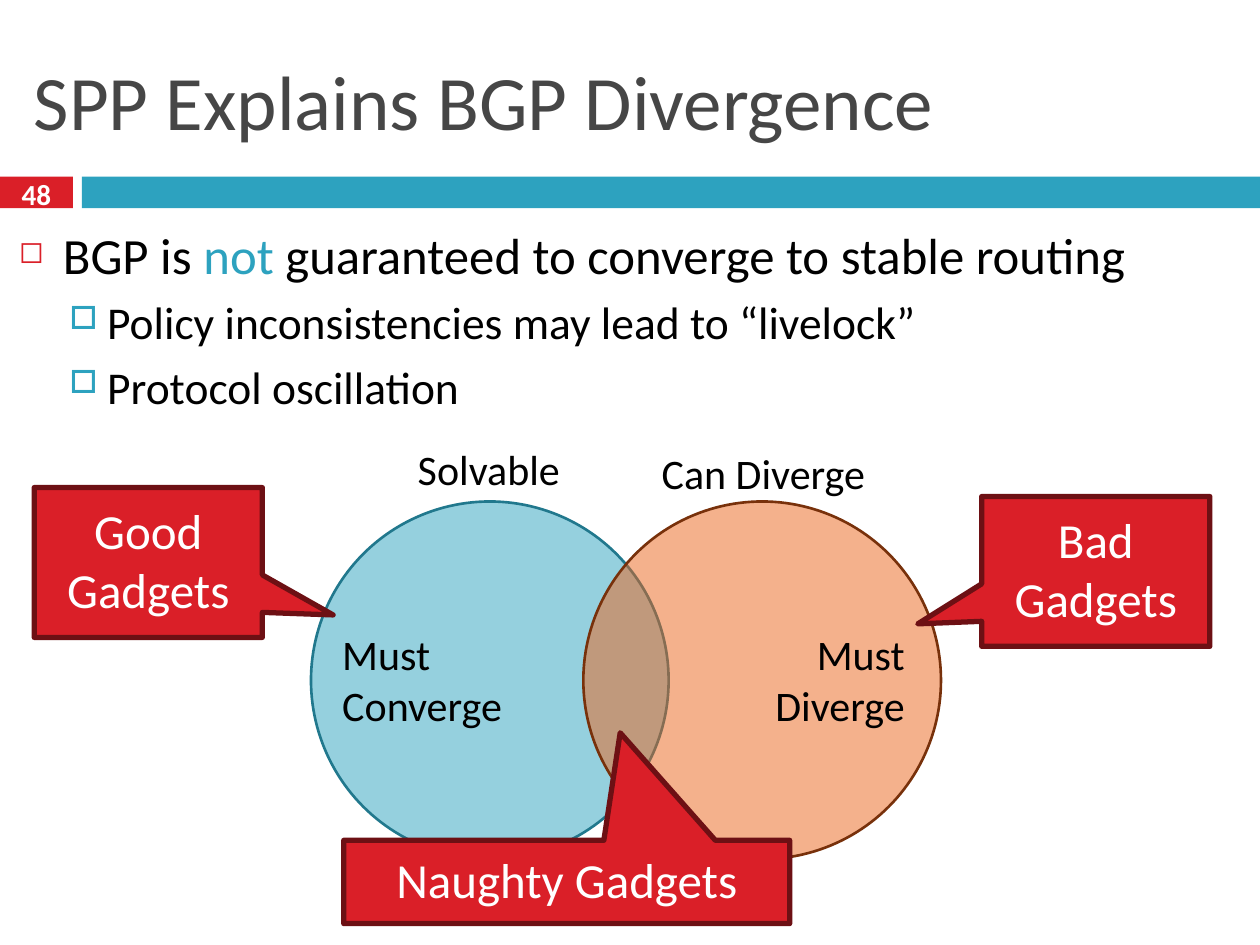
from lxml import etree
from pptx import Presentation
from pptx.dml.color import RGBColor
from pptx.enum.shapes import MSO_SHAPE
from pptx.enum.text import MSO_ANCHOR, PP_ALIGN
from pptx.oxml.ns import qn
from pptx.util import Cm, Pt

RECT, OVAL = MSO_SHAPE.RECTANGLE, MSO_SHAPE.OVAL
CALLOUT = MSO_SHAPE.RECTANGULAR_CALLOUT
LEFT, CENTER, RIGHT = PP_ALIGN.LEFT, PP_ALIGN.CENTER, PP_ALIGN.RIGHT
TOP, MIDDLE = MSO_ANCHOR.TOP, MSO_ANCHOR.MIDDLE

FONT = "Calibri"
COLORS = {
    "red": "DA1F28", "dark_red": "6D1014",
    "teal": "2DA2BF", "dark_teal": "21788D",
    "orange": "EB641B", "brown": "78310B",
    "title": "464646", "black": "000000", "white": "FFFFFF",
}


def rgb(name):
    return RGBColor.from_string(COLORS[name])


def write(frame, lines, size=24, color="black", bold=False, align=LEFT,
          anchor=TOP, wrap=True):
    """Fill a text frame; each line is a string or a list of (text, color) runs."""
    frame.word_wrap = wrap
    frame.vertical_anchor = anchor
    for index, line in enumerate(lines):
        paragraph = frame.add_paragraph() if index else frame.paragraphs[0]
        paragraph.alignment = align
        for text, run_color in [(line, color)] if isinstance(line, str) else line:
            run = paragraph.add_run()
            run.text = text
            run.font.name, run.font.size, run.font.bold = FONT, Pt(size), bold
            run.font.color.rgb = rgb(run_color)


def add_label(slide, box, lines, **text_format):
    label = slide.shapes.add_textbox(*map(Cm, box))
    write(label.text_frame, lines, **text_format)
    return label


def add_figure(slide, kind, box, fill, line=None, width=1.5, alpha=None):
    figure = slide.shapes.add_shape(kind, *map(Cm, box))
    figure.shadow.inherit = False
    figure.fill.solid()
    figure.fill.fore_color.rgb = rgb(fill)
    if alpha is not None:
        fill_color = figure.fill._xPr.find(".//" + qn("a:srgbClr"))
        etree.SubElement(fill_color, qn("a:alpha"), val=str(alpha * 1000))
    if line:
        figure.line.color.rgb = rgb(line)
        figure.line.width = Pt(width)
    else:
        figure.line.fill.background()
    return figure


def set_bullet(paragraph, char, color, percent, margin, hanging):
    properties = paragraph._p.get_or_add_pPr()
    properties.set("marL", str(Cm(margin)))
    properties.set("indent", str(-Cm(hanging)))
    bullet_color = etree.SubElement(properties, qn("a:buClr"))
    etree.SubElement(bullet_color, qn("a:srgbClr"), val=COLORS[color])
    etree.SubElement(properties, qn("a:buSzPct"), val=str(percent * 1000))
    etree.SubElement(properties, qn("a:buChar"), char=char)


def add_header(slide, left, top, width, title, number):
    band_top, band_height, number_width, gap = top + 3.56, 0.64, 1.47, 0.18
    bar_left = left + number_width + gap
    add_figure(slide, RECT, (left, band_top, number_width, band_height), "red")
    add_figure(slide, RECT, (bar_left, band_top, left + width - bar_left, band_height),
               "teal")
    add_label(slide, (left + 0.43, top + 0.64, width - 0.84, 2.74), [title],
              size=44, color="title", anchor=MIDDLE)
    add_label(slide, (left, band_top - 0.08, number_width, 0.84), [number],
              size=16.6, color="white", bold=True, align=CENTER, anchor=MIDDLE)


def add_bullets(slide, box, claim, details):
    body = add_label(slide, box, [claim, *details], size=26)
    first, *rest = body.text_frame.paragraphs
    for run in first.runs:
        run.font.size = Pt(29)
    first.space_before = Pt(7)
    set_bullet(first, "◻", "red", 60, 0.89, 0.89)
    for paragraph in rest:
        paragraph.level = 1
        paragraph.space_before = Pt(5.5)
        set_bullet(paragraph, "□", "teal", 70, 1.78, 0.76)


def add_venn(slide, left, top):
    diameter, offset, circle_top = 7.21, 5.49, top + 1.3
    for index, (fill, line) in enumerate([("teal", "dark_teal"), ("orange", "brown")]):
        add_figure(slide, OVAL, (left + index * offset, circle_top, diameter, diameter),
                   fill, line, alpha=50)
    labels = [
        (0.38, 3.74, 4.22, 2.31, ["Must", "Converge"], LEFT),
        (8.77, 3.74, 3.45, 2.31, ["Must", "Diverge"], RIGHT),
        (1.68, 0, 3.81, 1.27, ["Solvable"], CENTER),
        (6.48, 0.08, 5.28, 1.27, ["Can Diverge"], CENTER),
    ]
    for dx, dy, width, height, lines, align in labels:
        add_label(slide, (left + dx, top + dy, width, height), lines,
                  align=align, wrap=False)


def add_callout(slide, box, text, tip):
    """Tip is the pointer's offset from the centre, as a share of the box size."""
    callout = add_figure(slide, CALLOUT, box, "red", "dark_red", width=3)
    callout.adjustments[0], callout.adjustments[1] = tip
    frame = callout.text_frame
    frame.margin_top, frame.margin_bottom = Cm(0.13), Cm(0.25)
    write(frame, [text], size=28, color="white", align=CENTER, anchor=MIDDLE)


def main():
    deck = Presentation()
    deck.slide_width, deck.slide_height = Cm(25.4), Cm(19.05)
    slide = deck.slides.add_slide(deck.slide_layouts[6])

    add_header(slide, 0, 0, 25.4, "SPP Explains BGP Divergence", "48")
    add_bullets(
        slide, (0.13, 4.39, 24.97, 4.42),
        [("BGP is ", "black"), ("not", "teal"),
         (" guaranteed to converge to stable routing", "black")],
        ["Policy inconsistencies may lead to “livelock”", "Protocol oscillation"])
    add_venn(slide, 6.27, 8.81)
    add_callout(slide, (0.69, 9.83, 4.6, 3.02), "Good Gadgets", (0.81, 0.35))
    add_callout(slide, (19.79, 10.01, 4.6, 3.02), "Bad Gadgets", (-0.78, 0.35))
    add_callout(slide, (6.93, 16.94, 8.99, 1.68), "Naughty Gadgets", (0.12, -1.79))

    deck.save("out.pptx")


if __name__ == "__main__":
    main()
